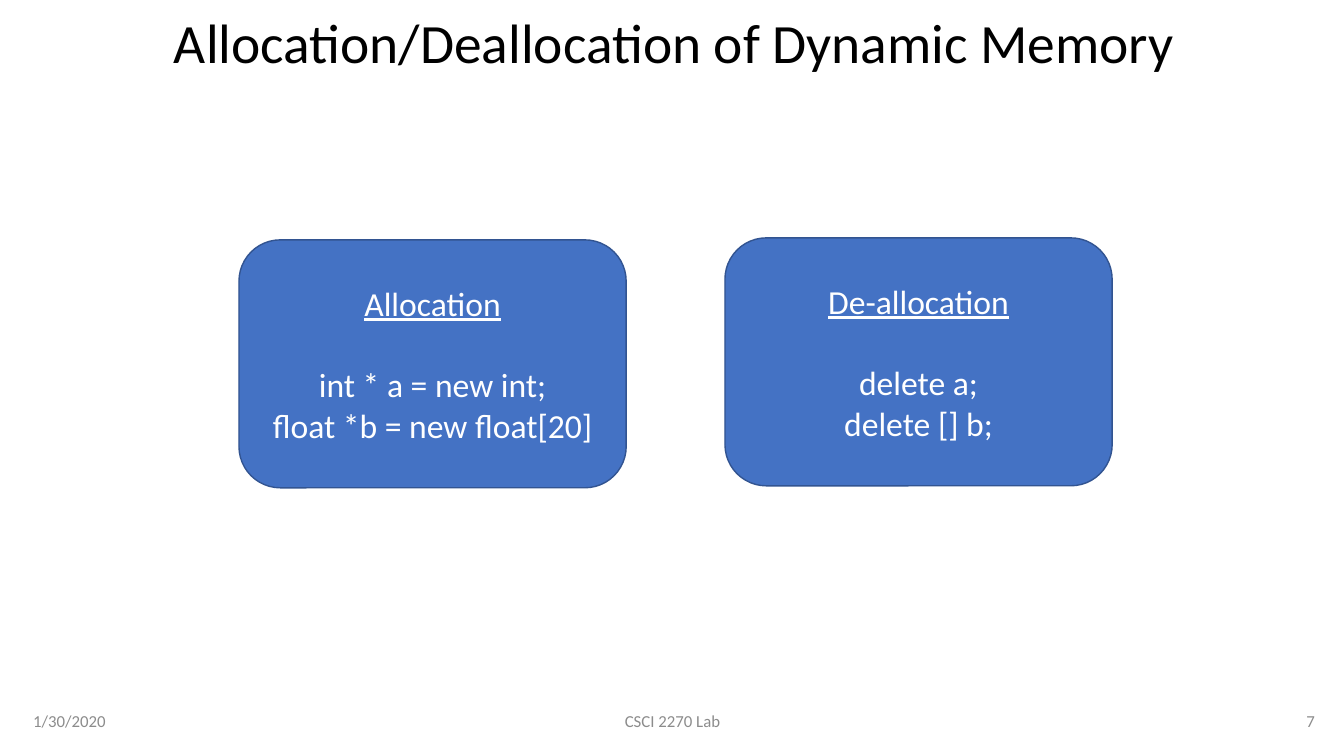
from pptx import Presentation
from pptx.dml.color import RGBColor
from pptx.enum.shapes import MSO_SHAPE
from pptx.enum.text import MSO_ANCHOR, MSO_AUTO_SIZE, PP_ALIGN
from pptx.util import Inches, Pt

ROUNDED = MSO_SHAPE.ROUNDED_RECTANGLE
MIDDLE = MSO_ANCHOR.MIDDLE
NO_FIT = MSO_AUTO_SIZE.NONE
LEFT, CENTER, RIGHT = PP_ALIGN.LEFT, PP_ALIGN.CENTER, PP_ALIGN.RIGHT

BLACK = RGBColor(0x00, 0x00, 0x00)
WHITE = RGBColor(0xFF, 0xFF, 0xFF)
GRAY = RGBColor(0x8C, 0x8C, 0x8C)
BLUE = RGBColor(0x44, 0x72, 0xC4)
DARK_BLUE = RGBColor(0x32, 0x54, 0x91)


class SlideBuilder:
    """Places elements on the slide; lengths are percent of its size."""

    font = "Calibri"

    def __init__(self, prs, layout):
        self.col, self.row = prs.slide_width / 100, prs.slide_height / 100
        self.s = prs.slides.add_slide(prs.slide_layouts[layout])

    def box(self, x, y, w, h):
        return [int(x * self.col), int(y * self.row),
                int(w * self.col), int(h * self.row)]

    def frame(self, sp):
        tf = sp.text_frame
        for name, value in {"word_wrap": True, "auto_size": NO_FIT,
                            "vertical_anchor": MIDDLE}.items():
            setattr(tf, name, value)
        return tf

    def add_text(self, p, text, size, color, align, **formats):
        p.alignment = align
        r = p.add_run()
        r.text = text
        r.font.color.rgb = color
        for name, value in {"name": self.font, "size": Pt(size), **formats}.items():
            setattr(r.font, name, value)

    def title(self, text, *place):
        sp = self.s.shapes.title
        sp.left, sp.top, sp.width, sp.height = self.box(*place)
        p = self.frame(sp).paragraphs[0]
        p.line_spacing = 0.9
        self.add_text(p, text, 39.6, BLACK, CENTER)

    def footer(self, text, x, w, align):
        sp = self.s.shapes.add_textbox(*self.box(x, 92.67, w, 5.33))
        self.add_text(self.frame(sp).paragraphs[0], text, 12, GRAY, align)

    def card(self, heading, lines, x, y):
        sp = self.s.shapes.add_shape(ROUNDED, *self.box(x, y, 28.81, 32.8))
        sp.shadow.inherit = False
        sp.fill.solid()
        sp.fill.fore_color.rgb = BLUE
        sp.line.color.rgb = DARK_BLUE
        sp.line.width = Pt(1)
        tf = self.frame(sp)
        p = tf.paragraphs[0]
        p.space_after = Pt(29.3)
        self.add_text(p, heading, 24, WHITE, CENTER, underline=True)
        for line in lines:
            self.add_text(tf.add_paragraph(), line, 24, WHITE, CENTER)


def main():
    prs = Presentation()
    prs.slide_width, prs.slide_height = Inches(13.33), Inches(7.5)
    slide = SlideBuilder(prs, layout=5)

    # Title
    slide.title("Allocation/Deallocation of Dynamic Memory", 1.73, 2, 96.85, 8)

    # Footer
    slide.footer("1/30/2020", 1.73, 22.5, LEFT)
    slide.footer("CSCI 2270 Lab", 33.16, 33.76, CENTER)
    slide.footer("7", 76.07, 22.5, RIGHT)

    # Allocation and de-allocation cards
    slide.card("Allocation", ["int * a = new int;", "float *b = new float[20]"],
               17.78, 31.73)
    slide.card("De-allocation", ["delete a;", "delete [] b;"], 53.94, 31.47)

    prs.save("out.pptx")


if __name__ == "__main__":
    main()
